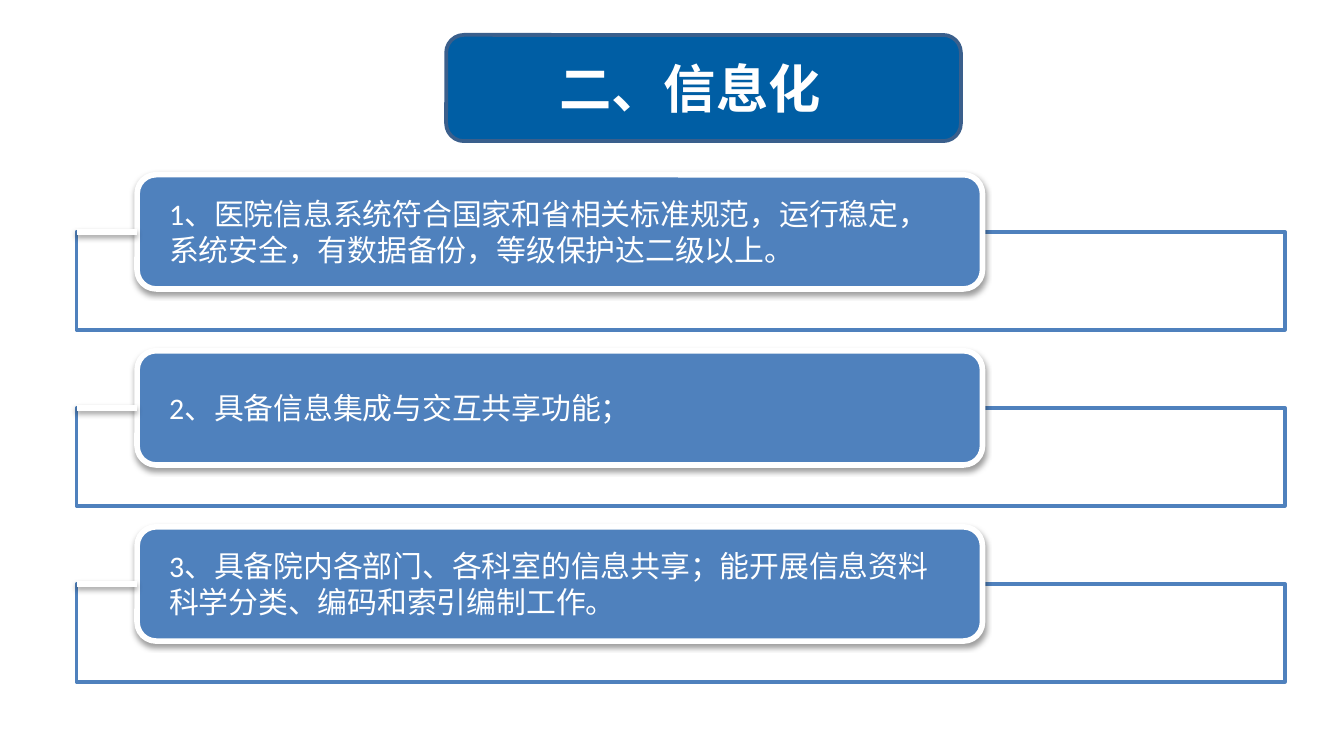
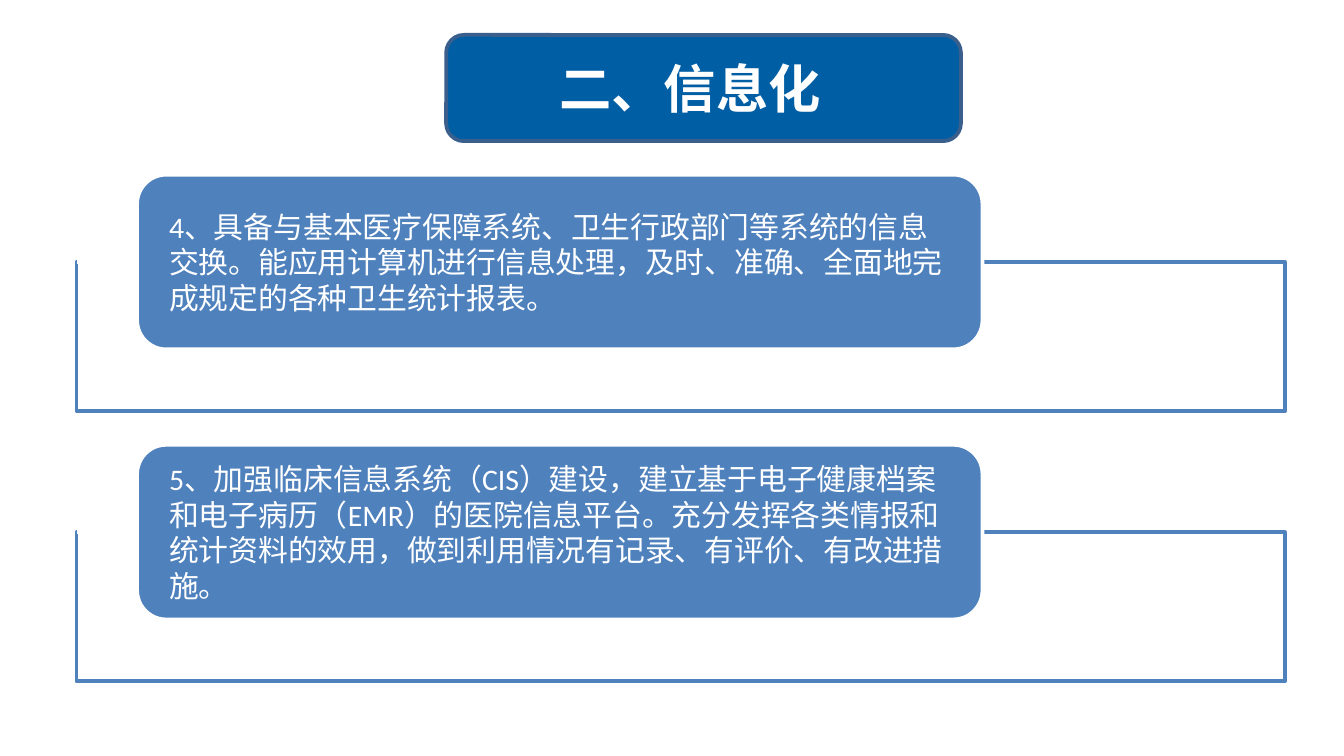
from lxml import etree
from pptx import Presentation
from pptx.dml.color import RGBColor
from pptx.enum.shapes import MSO_CONNECTOR, MSO_SHAPE
from pptx.enum.text import MSO_ANCHOR, MSO_AUTO_SIZE, PP_ALIGN
from pptx.oxml import parse_xml
from pptx.oxml.ns import nsdecls, qn
from pptx.util import Inches, Pt

# Content: cards of each slide with their sizes in inches and edge in points
TITLE = "二、信息化"
SLIDES = [
    {"card": 0.85, "panel": 0.73, "pitch": 1.31, "edge": 3, "shadow": True, "items": [
        "1、医院信息系统符合国家和省相关标准规范，运行稳定，系统安全，有数据备份，等级保护达二级以上。",
        "2、具备信息集成与交互共享功能；",
        "3、具备院内各部门、各科室的信息共享；能开展信息资料科学分类、编码和索引编制工作。",
    ]},
    {"card": 1.3, "panel": 1.11, "pitch": 2.01, "edge": 2, "shadow": False, "items": [
        "4、具备与基本医疗保障系统、卫生行政部门等系统的信息交换。能应用计算机进行信息处理，及时、准确、全面地完成规定的各种卫生统计报表。",
        "5、加强临床信息系统（CIS）建设，建立基于电子健康档案和电子病历（EMR）的医院信息平台。充分发挥各类情报和统计资料的效用，做到利用情况有记录、有评价、有改进措施。",
    ]},
]

# Shared style
PAGE_W = 10
PAGE_H = PAGE_W * 9 / 16
WHITE = RGBColor(0xFF, 0xFF, 0xFF)
NAVY = RGBColor(0x00, 0x5E, 0xA4)
SLATE = RGBColor(0x3A, 0x5F, 0x8C)
BLUE = RGBColor(0x4F, 0x81, 0xBD)
HEAD = {"name": "Noto Sans CJK SC", "size": Pt(28), "bold": True}
BODY = {"name": "Calibri", "size": Pt(16), "bold": False}
TOP, LEFT, WIDE = 1.3, 0.57, 8.99
CARD_X, CARD_W = 1.02, 6.29
PAD, CURVE = 0.24, 0.05  # text margin; share of height taken by round corners

SHADOW = f"""<a:effectLst {nsdecls("a")}>
  <a:outerShdw blurRad="{Pt(3.1)}" dist="{Pt(1.6)}" dir="5400000" rotWithShape="0">
    <a:srgbClr val="000000"><a:alpha val="38000"/></a:srgbClr>
  </a:outerShdw>
</a:effectLst>"""
PLAIN = f'<a:effectLst {nsdecls("a")}/>'


def add_box(slide, kind, at, fill, line, width):
    box = slide.shapes.add_shape(kind, *map(Inches, at))
    box.fill.solid()
    box.fill.fore_color.rgb = fill
    box.line.color.rgb = line
    box.line.width = Pt(width)
    return box


def set_effect(shape, shadow):
    shape._element.spPr.append(parse_xml(SHADOW if shadow else PLAIN))


def write(frame, text, style, align, pads):
    frame.word_wrap = True
    frame.auto_size = MSO_AUTO_SIZE.NONE
    frame.vertical_anchor = MSO_ANCHOR.MIDDLE
    sides = ("margin_left", "margin_top", "margin_right", "margin_bottom")
    for side, pad in zip(sides, pads):
        setattr(frame, side, Inches(pad))
    para = frame.paragraphs[0]
    para.alignment = align
    run = para.add_run()
    run.text = text
    for key, value in style.items():
        setattr(run.font, key, value)
    run.font.color.rgb = WHITE
    # East Asian text follows the same font
    asian = etree.SubElement(run._r.rPr, qn("a:ea"))
    asian.set("typeface", style["name"])


def add_title(slide):
    band = add_box(slide, MSO_SHAPE.ROUNDED_RECTANGLE, (3.32, 0.26, 3.83, 0.79), NAVY, SLATE, 2)
    set_effect(band, False)
    title = slide.shapes.title
    title.left, title.top, title.width, title.height = map(Inches, (3.11, 0.37, 4.05, 0.57))
    write(title.text_frame, TITLE, HEAD, PP_ALIGN.CENTER, (0.1, 0.05, 0.1, 0.05))
    band._element.addnext(title._element)  # title in front of its band


def add_item(slide, plan, index, text):
    top = TOP + index * plan["pitch"]
    tall = plan["card"]
    mid = top + tall / 2

    # Outlined panel behind the card
    panel = add_box(slide, MSO_SHAPE.RECTANGLE, (LEFT, mid, WIDE, plan["panel"]), WHITE, BLUE, 2)
    set_effect(panel, False)
    tint = panel._element.spPr.find(qn("a:solidFill"))[0]
    etree.SubElement(tint, qn("a:alpha")).set("val", "90000")

    # Card with its text
    card = add_box(slide, MSO_SHAPE.ROUNDED_RECTANGLE, (CARD_X, top, CARD_W, tall),
                   BLUE, WHITE, plan["edge"])
    set_effect(card, plan["shadow"])
    pad = PAD - CURVE * tall
    right = pad if index else pad - 0.02
    write(card.text_frame, text, BODY, PP_ALIGN.LEFT, (pad, 0, right, 0))

    # White stub from the panel corner to the card
    stub = slide.shapes.add_connector(MSO_CONNECTOR.STRAIGHT, Inches(LEFT), Inches(mid),
                                      Inches(CARD_X), Inches(mid))
    stub.end_connect(card, 1)
    stub.line.color.rgb = WHITE
    stub.line.width = Pt(plan["edge"])
    set_effect(stub, plan["shadow"])


def main():
    deck = Presentation()
    deck.slide_width, deck.slide_height = Inches(PAGE_W), Inches(PAGE_H)
    for plan in SLIDES:
        slide = deck.slides.add_slide(deck.slide_layouts[5])
        add_title(slide)
        for index, text in enumerate(plan["items"]):
            add_item(slide, plan, index, text)
    deck.save("out.pptx")


if __name__ == "__main__":
    main()
